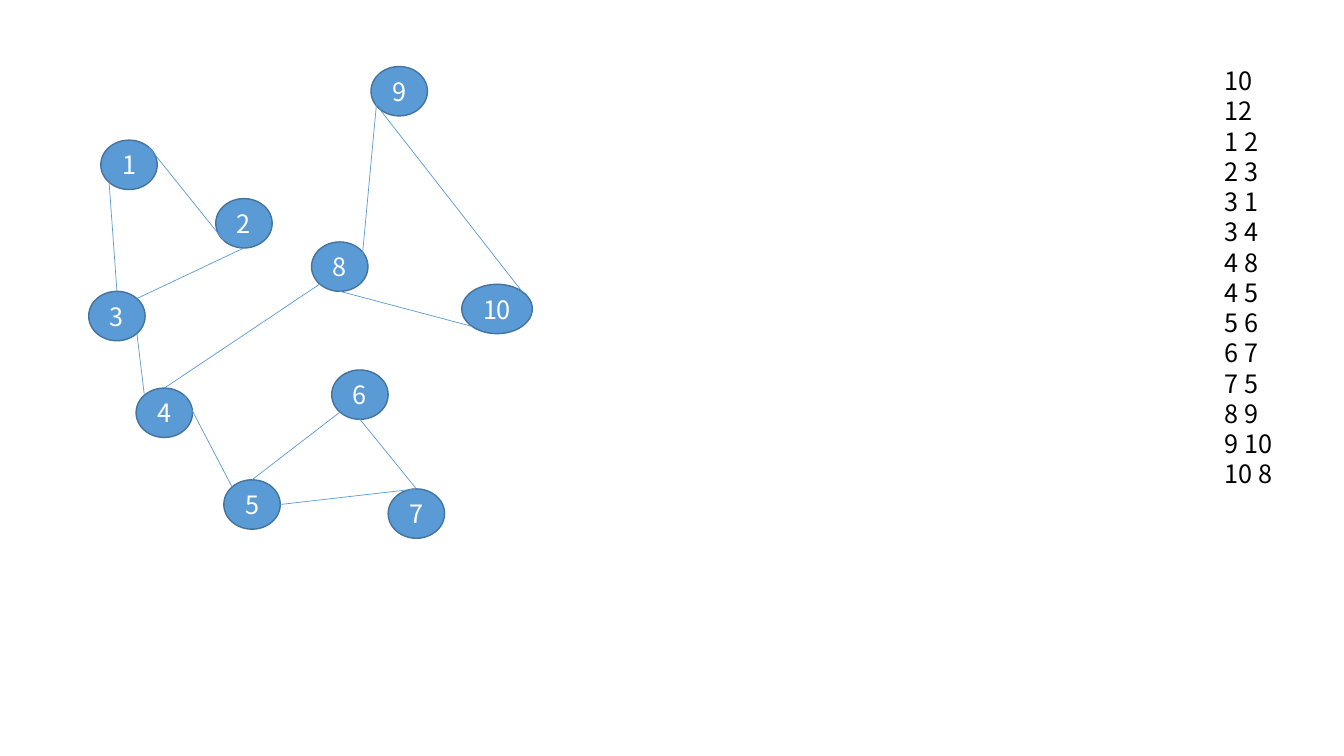
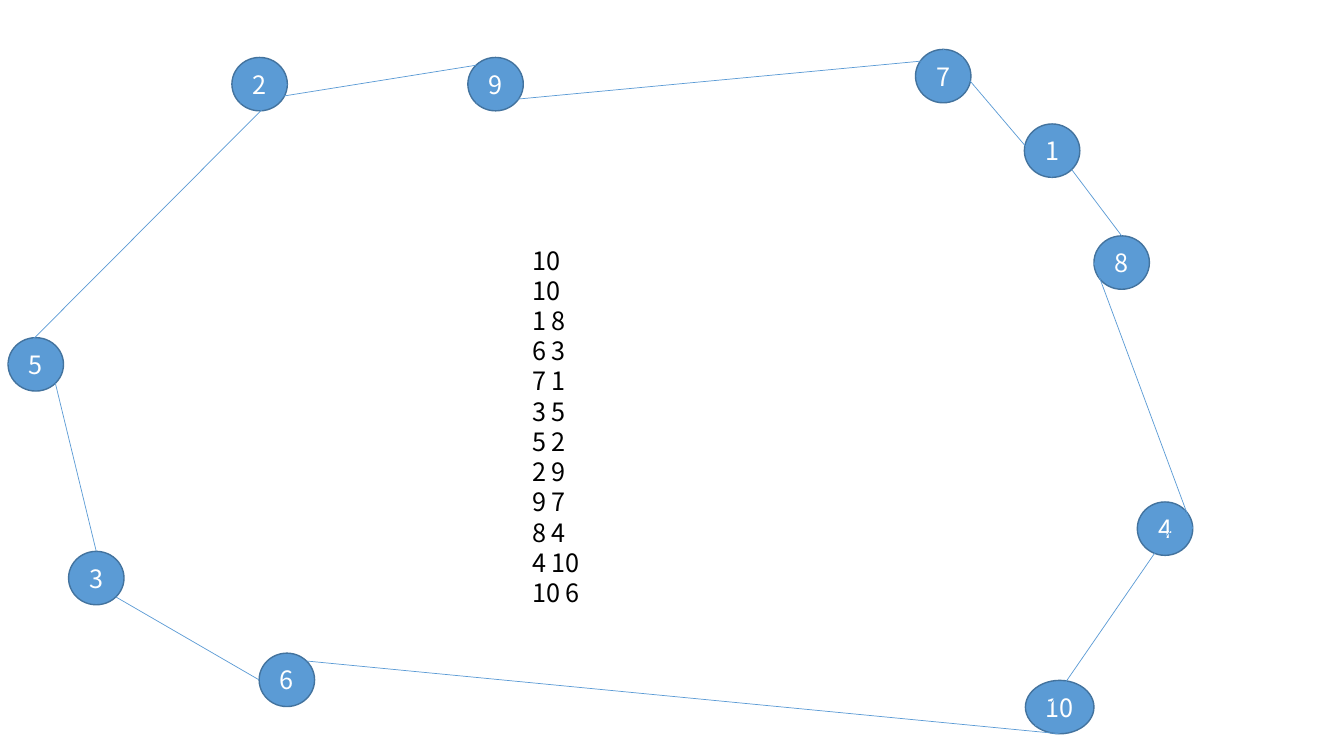
import dataclasses

import lxml.etree
import pptx
import pptx.dml.color
import pptx.enum.shapes
import pptx.enum.text
import pptx.oxml
import pptx.oxml.ns
import pptx.util

Inches = pptx.util.Inches
Pt = pptx.util.Pt
RGB = pptx.dml.color.RGBColor


@dataclasses.dataclass(frozen=True)
class Theme:
    fill: RGB = RGB(0x5B, 0x9B, 0xD5)
    rim: RGB = RGB(0x43, 0x73, 0x9E)
    light: RGB = RGB(255, 255, 255)
    dark: RGB = RGB(0, 0, 0)
    font: str = "Noto Sans CJK SC"
    size: float = 18
    border: float = 1
    edge: float = 0.5


THEME = Theme()
DIAG = 0.5 ** 0.5
COMPASS = {
    "n": (0, -1), "s": (0, 1), "e": (1, 0), "w": (-1, 0),
    "ne": (DIAG, -DIAG), "nw": (-DIAG, -DIAG),
    "se": (DIAG, DIAG), "sw": (-DIAG, DIAG),
}

# Nodes: number -> left, top. Edges: start, its side, end, its side.
CLUSTERS = dict(
    size=(0.56, 0.49), wide=0.7, note=(12.05, 0.6, 0.8, 4.04),
    nodes={
        1: (1, 1.39), 2: (2.14, 1.97), 3: (0.88, 2.89), 4: (1.35, 3.85),
        5: (2.22, 4.76), 6: (3.29, 3.67), 7: (3.85, 4.85), 8: (3.09, 2.4),
        9: (3.68, 0.66), 10: (4.58, 2.82),
    },
    edges=[
        (1, "ne", 2, "sw"), (2, "s", 3, "ne"), (3, "n", 1, "sw"),
        (3, "se", 4, "nw"), (4, "n", 8, "sw"), (4, "ne", 5, "nw"),
        (5, "n", 6, "sw"), (6, "s", 7, "n"), (7, "n", 5, "e"),
        (8, "se", 9, "nw"), (9, "sw", 10, "ne"), (10, "sw", 8, "s"),
    ],
)
RING = dict(
    size=(0.55, 0.53), wide=0.68, note=(5.18, 2.38, 0.8, 3.43),
    nodes={
        1: (10.16, 1.23), 2: (2.3, 0.57), 3: (0.68, 5.47), 4: (11.28, 4.98),
        5: (0.08, 3.35), 6: (2.57, 6.48), 7: (9.08, 0.49), 8: (10.85, 2.34),
        9: (4.64, 0.57), 10: (10.17, 6.75),
    },
    edges=[
        (1, "se", 8, "n"), (6, "w", 3, "se"), (7, "n", 1, "s"),
        (3, "n", 5, "se"), (5, "w", 2, "e"), (2, "sw", 9, "nw"),
        (9, "sw", 7, "ne"), (8, "w", 4, "e"), (4, "ne", 10, "sw"),
        (10, "s", 6, "ne"),
    ],
)


def style(frame, color):
    for para in frame.paragraphs:
        for run in para.runs:
            run.font.name = THEME.font
            run.font.size = Pt(THEME.size)
            run.font.color.rgb = color


def node(slide, box, label):
    oval = slide.shapes.add_shape(
        pptx.enum.shapes.MSO_SHAPE.OVAL, *map(Inches, box))
    oval.shadow.inherit = False
    oval.fill.solid()
    oval.fill.fore_color.rgb = THEME.fill
    oval.line.color.rgb = THEME.rim
    oval.line.width = Pt(THEME.border)
    frame = oval.text_frame
    frame.word_wrap = False
    frame.vertical_anchor = pptx.enum.text.MSO_ANCHOR.MIDDLE
    frame.text = str(label)
    frame.paragraphs[0].alignment = pptx.enum.text.PP_ALIGN.CENTER
    style(frame, THEME.light)


def port(box, side):
    """Return the point of an oval's rim on a compass side."""
    left, top, width, height = box
    dx, dy = COMPASS[side]
    return left + width / 2 * (1 + dx), top + height / 2 * (1 + dy)


def edge(slide, start, end):
    line = slide.shapes.add_connector(
        pptx.enum.shapes.MSO_CONNECTOR.STRAIGHT, *map(Inches, start + end))
    line.line.color.rgb = THEME.fill
    line.line.width = Pt(THEME.edge)
    lxml.etree.SubElement(
        line._element.spPr, pptx.oxml.ns.qn("a:effectLst"))


def note(slide, box, count, edges):
    """List the node count, the edge count and each edge."""
    frame = slide.shapes.add_textbox(*map(Inches, box)).text_frame
    frame.word_wrap = False
    frame.auto_size = pptx.enum.text.MSO_AUTO_SIZE.SHAPE_TO_FIT_TEXT
    pairs = [f"{a} {b}" for a, _, b, _ in edges]
    frame.text = "\n".join([f"{count}\v{len(edges)}"] + pairs)
    style(frame, THEME.dark)


def graph(slide, data):
    width, height = data["size"]
    boxes = {
        key: (*spot, data["wide"] if key > 9 else width, height)
        for key, spot in data["nodes"].items()
    }
    for key, box in boxes.items():
        node(slide, box, key)
    for a, out, b, into in data["edges"]:
        edge(slide, port(boxes[a], out), port(boxes[b], into))
    note(slide, data["note"], len(boxes), data["edges"])


def main():
    deck = pptx.Presentation()
    deck.slide_width = Inches(13.33)
    deck.slide_height = Inches(7.5)
    for data in (CLUSTERS, RING):
        graph(deck.slides.add_slide(deck.slide_layouts[6]), data)
    deck.save("out.pptx")


if __name__ == "__main__":
    main()
